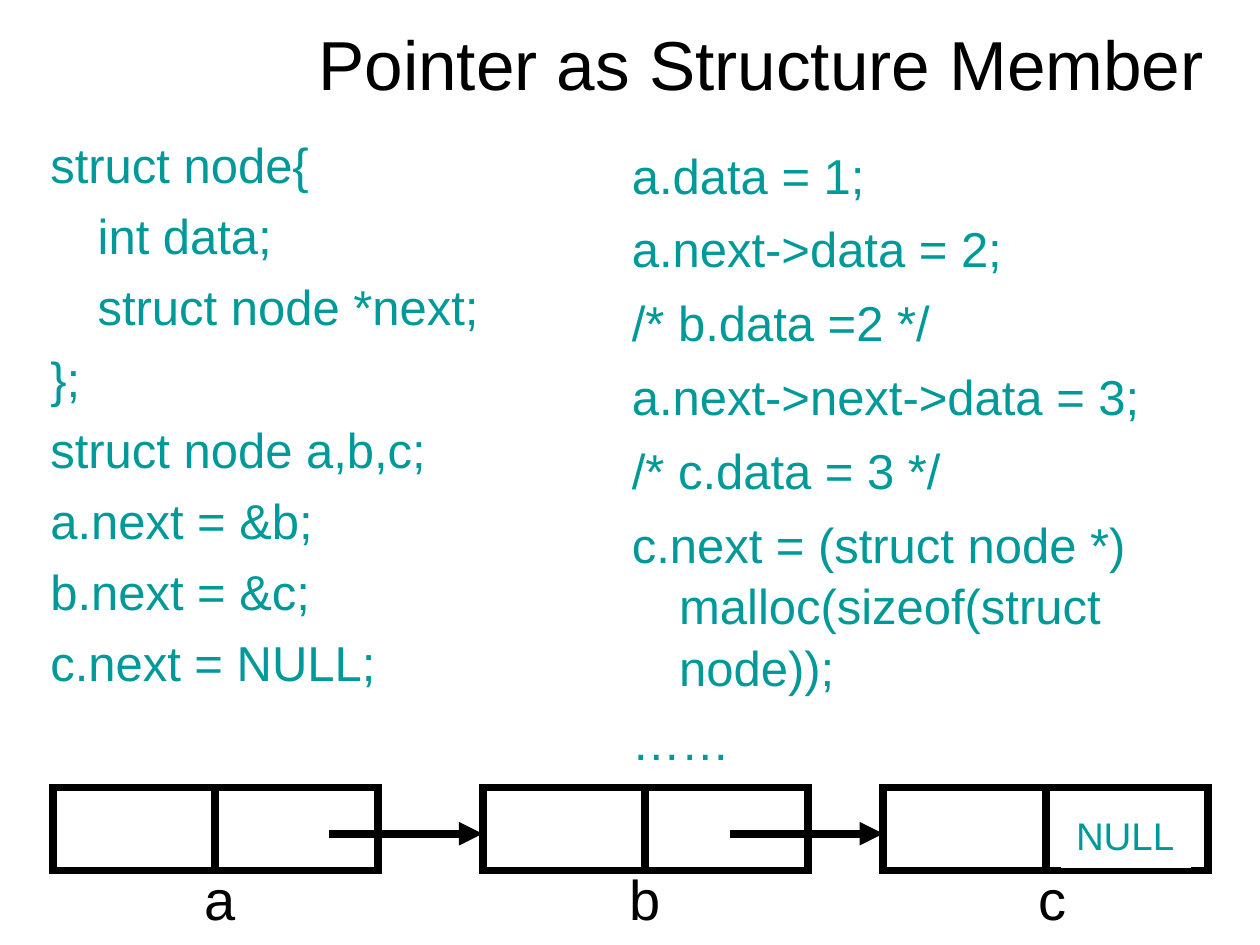
from dataclasses import dataclass

import pptx
import pptx.dml.color
import pptx.enum.shapes
import pptx.enum.text
import pptx.oxml.ns
import pptx.util
from lxml import etree

Pt = pptx.util.Pt
qn = pptx.oxml.ns.qn
Anchor = pptx.enum.text.MSO_ANCHOR
Align = pptx.enum.text.PP_ALIGN


@dataclass(frozen=True)
class Theme:
    font: str = "Arial"
    ink: str = "000000"
    code: str = "009999"
    paper: str = "FFFFFF"
    title_size: float = 39.6
    code_size: float = 28
    label_size: float = 32
    null_size: float = 22
    stroke: float = 4.5


THEME = Theme()

DECLARATIONS = [
    ("struct node{", False),
    ("int data;", True),
    ("struct node *next;", True),
    ("};", False),
    ("struct node a,b,c;", False),
    ("a.next = &b;", False),
    ("b.next = &c;", False),
    ("c.next = NULL;", False),
]
STATEMENTS = [
    ("a.data = 1;", False),
    ("a.next->data = 2;", False),
    ("/* b.data =2 */", False),
    ("a.next->next->data = 3;", False),
    ("/* c.data = 3 */", False),
    ("c.next = (struct node *) malloc(sizeof(struct node));", False),
    ("……", False),
]

NODE_TOP, NODE_WIDTH, NODE_HEIGHT = 450, 185.8, 47.5
# name, left of the node, left of its label
NODES = [("a", 30.2, 110.2), ("b", 275.8, 353.5), ("c", 504.7, 586.8)]
ARROW_Y, ARROW_LENGTH = 476.4, 87.5


def color(value):
    return pptx.dml.color.RGBColor.from_string(value)


def place(shape, left, top, width, height):
    shape.left, shape.top = Pt(left), Pt(top)
    shape.width, shape.height = Pt(width), Pt(height)


def style_text(para, size, ink):
    for span in para.runs:
        span.font.name = THEME.font
        span.font.size = Pt(size)
        span.font.color.rgb = color(ink)


def set_stroke(shape, ink):
    shape.line.color.rgb = color(ink)
    shape.line.width = Pt(THEME.stroke)


def add_title(page, text):
    title = page.shapes.title
    place(title, 156, 6, 558, 60)
    frame = title.text_frame
    frame.text = text
    frame.auto_size = pptx.enum.text.MSO_AUTO_SIZE.NONE
    frame.vertical_anchor = Anchor.MIDDLE
    frame.paragraphs[0].alignment = Align.CENTER
    style_text(frame.paragraphs[0], THEME.title_size, THEME.ink)


def fill_code(frame, lines, hang, before, after):
    """Write code lines with a hanging indent; inner lines start at the indent."""
    frame.word_wrap = True
    frame.auto_size = pptx.enum.text.MSO_AUTO_SIZE.NONE
    frame.vertical_anchor = Anchor.TOP
    for index, (text, inner) in enumerate(lines):
        para = frame.paragraphs[0] if index == 0 else frame.add_paragraph()
        para.text = text
        para.line_spacing = 1.04
        para.space_before, para.space_after = Pt(before), Pt(after)
        properties = para._p.get_or_add_pPr()
        properties.set("marL", str(Pt(hang)))
        properties.set("indent", str(0 if inner else -Pt(hang)))
        etree.SubElement(properties, qn("a:buNone"))
        style_text(para, THEME.code_size, THEME.code)


def add_box(page, left, top, width, height, ink):
    box = page.shapes.add_shape(
        pptx.enum.shapes.MSO_SHAPE.RECTANGLE,
        Pt(left), Pt(top), Pt(width), Pt(height))
    box.shadow.inherit = False
    box.fill.background()
    set_stroke(box, ink)
    etree.SubElement(box.line._get_or_add_ln(), qn("a:miter"), lim="800000")
    return box


def add_line(page, start, end):
    line = page.shapes.add_connector(
        pptx.enum.shapes.MSO_CONNECTOR.STRAIGHT,
        Pt(start[0]), Pt(start[1]), Pt(end[0]), Pt(end[1]))
    set_stroke(line, THEME.ink)
    etree.SubElement(line._element.spPr, qn("a:effectLst"))
    return line


def add_node(page, left):
    """Draw a node as a box split into a data half and a next half."""
    box = add_box(page, left, NODE_TOP, NODE_WIDTH, NODE_HEIGHT, THEME.ink)
    middle = left + NODE_WIDTH / 2
    divider = add_line(page, (middle, NODE_TOP), (middle, NODE_TOP + NODE_HEIGHT))
    divider.begin_connect(box, 0)
    divider.end_connect(box, 2)


def add_arrow(page, tip):
    arrow = add_line(page, (tip - ARROW_LENGTH, ARROW_Y), (tip, ARROW_Y))
    etree.SubElement(arrow.line._get_or_add_ln(), qn("a:tailEnd"), type="triangle")


def write_label(shape, text, size, ink):
    frame = shape.text_frame
    frame.text = text
    frame.word_wrap = False
    frame.vertical_anchor = Anchor.TOP
    frame.margin_left = frame.margin_right = Pt(6.5)
    frame.margin_top = frame.margin_bottom = Pt(3.2)
    frame.paragraphs[0].alignment = Align.LEFT
    style_text(frame.paragraphs[0], size, ink)


def add_list_diagram(page):
    for name, left, label_left in NODES:
        add_node(page, left)
        label = page.shapes.add_textbox(Pt(label_left), Pt(491), Pt(31), Pt(45.4))
        write_label(label, name, THEME.label_size, THEME.ink)
    for name, left, label_left in NODES[1:]:
        add_arrow(page, left)
    null = add_box(page, 608.4, 460.8, 69.8, 33.1, THEME.paper)
    write_label(null, "NULL", THEME.null_size, THEME.code)


def main():
    deck = pptx.Presentation()
    deck.slide_width, deck.slide_height = Pt(720), Pt(540)
    page = deck.slides.add_slide(deck.slide_layouts[1])
    page.background.fill.solid()
    page.background.fill.fore_color.rgb = color(THEME.paper)

    add_title(page, "Pointer as Structure Member")
    body = page.placeholders[1]
    place(body, 21.6, 72, 278.6, 348)
    fill_code(body.text_frame, DECLARATIONS, hang=27, before=5.7, after=0)
    add_list_diagram(page)
    statements = page.shapes.add_textbox(Pt(354), Pt(78), Pt(325.5), Pt(360))
    fill_code(statements.text_frame, STATEMENTS, hang=27, before=0, after=7.3)

    deck.save("out.pptx")


if __name__ == "__main__":
    main()
